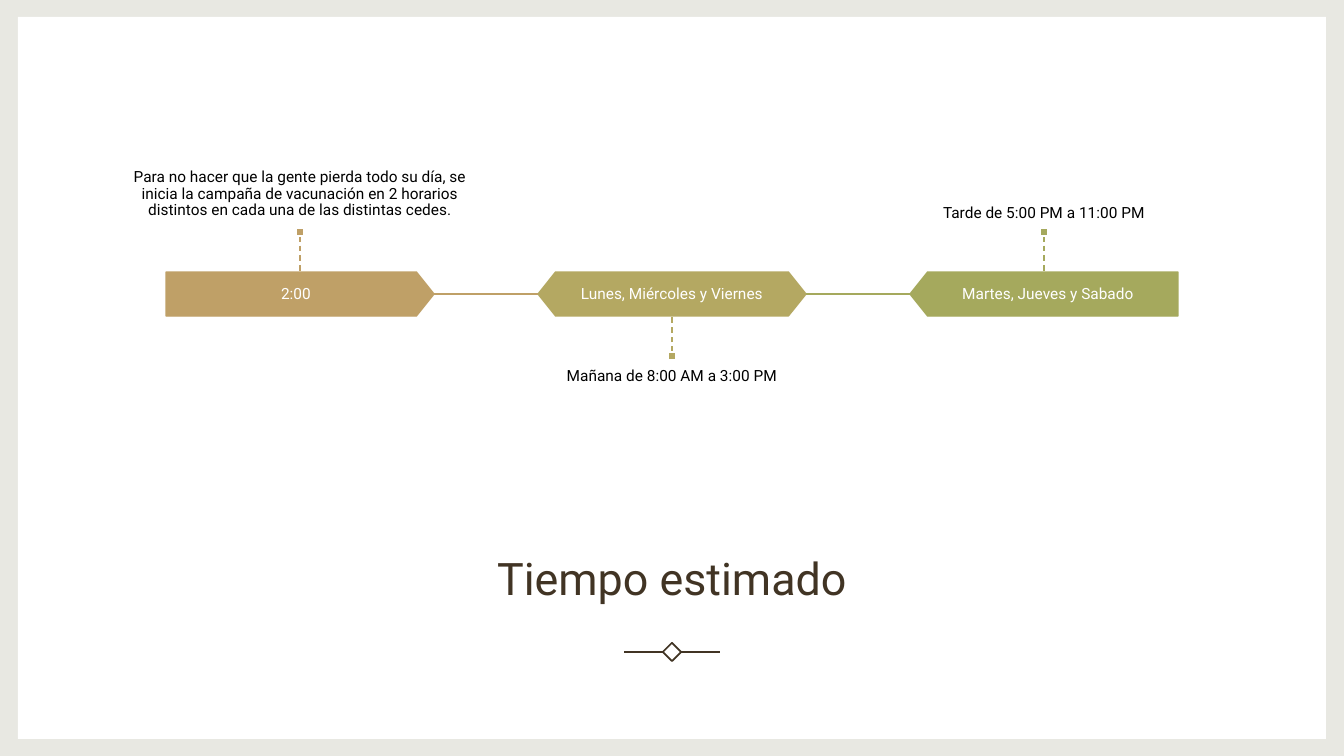
import pptx
import pptx.util
import pptx.dml.color
import pptx.enum.dml
import pptx.enum.shapes
import pptx.enum.text
import pptx.oxml

RGBColor = pptx.dml.color.RGBColor
SHAPE = pptx.enum.shapes.MSO_SHAPE
ANCHOR = pptx.enum.text.MSO_ANCHOR

BORDER = RGBColor(0xE8, 0xE8, 0xE2)
WHITE = RGBColor(0xFF, 0xFF, 0xFF)
BLACK = RGBColor(0, 0, 0)
BROWN = RGBColor(0x41, 0x34, 0x24)
TAN = RGBColor(0xBF, 0xA0, 0x67)
OLIVE = RGBColor(0xB4, 0xA8, 0x62)
GREEN = RGBColor(0xA5, 0xA9, 0x5D)
FONT = "Roboto"

# Content: label, caption, colour, outline, rotation, label offset and width, caption above
TITLE = "Tiempo estimado"
STEPS = [
    ("2:00",
     "Para no hacer que la gente pierda todo su día, se inicia la campaña de "
     "vacunación en 2 horarios distintos en cada una de las distintas cedes.",
     TAN, SHAPE.PENTAGON, 0, -4, 260, True),
    ("Lunes, Miércoles y Viernes", "Mañana de 8:00 AM a 3:00 PM",
     OLIVE, SHAPE.HEXAGON, 0, 0, 212, False),
    ("Martes, Jueves y Sabado", "Tarde de 5:00 PM a 11:00 PM",
     GREEN, SHAPE.PENTAGON, 180, 4, 260, True),
]
CONNECTOR_COLORS = [TAN, GREEN]

# Geometry in px
SLIDE_W, SLIDE_H = 1344, 756
BORDER_W = 18
PITCH = 372
STEP_W, STEP_H, STEP_TOP = 268, 44, 272
STEP_BOTTOM = STEP_TOP + STEP_H
STEP_MIDDLE = STEP_TOP + STEP_H // 2
STEM, MARKER = 36, 8
CAPTION_H, CAPTION_GAP = 116, 42
ORNAMENT_Y, DIAMOND, WING_GAP, WING = 652, 13, 9, 39


def px(length):
    return pptx.util.Emu(round(length * 914400 / 100.8))


def add_text(text, left, top, width, height, size=11, color=BLACK,
             anchor=ANCHOR.MIDDLE, spacing=0.9, inset_x=9, inset_y=9):
    frame = slide.shapes.add_textbox(px(left), px(top), px(width), px(height)).text_frame
    frame.word_wrap = True
    frame.vertical_anchor = anchor
    frame.margin_left = frame.margin_right = px(inset_x)
    frame.margin_top = frame.margin_bottom = px(inset_y)
    paragraph = frame.paragraphs[0]
    paragraph.text = text
    paragraph.alignment = pptx.enum.text.PP_ALIGN.CENTER
    paragraph.line_spacing = spacing
    paragraph.font.name = FONT
    paragraph.font.size = pptx.util.Pt(size)
    paragraph.font.color.rgb = color


def add_box(kind, left, top, width, height, fill=None, line=None, weight=1):
    box = slide.shapes.add_shape(kind, px(left), px(top), px(width), px(height))
    box.shadow.inherit = False
    if fill is None:
        box.fill.background()
    else:
        box.fill.solid()
        box.fill.fore_color.rgb = fill
    if line is None:
        box.line.fill.background()
    else:
        box.line.color.rgb = line
        box.line.width = pptx.util.Pt(weight)
    return box


def add_line(x1, y1, x2, y2, color, weight=1, dashed=False):
    rule = slide.shapes.add_connector(
        pptx.enum.shapes.MSO_CONNECTOR.STRAIGHT, px(x1), px(y1), px(x2), px(y2))
    rule.line.color.rgb = color
    rule.line.width = pptx.util.Pt(weight)
    if dashed:
        rule.line.dash_style = pptx.enum.dml.MSO_LINE.DASH
    rule._element.spPr.append(pptx.oxml.parse_xml(
        '<a:effectLst xmlns:a="http://schemas.openxmlformats.org/drawingml/2006/main"/>'))


deck = pptx.Presentation()
deck.slide_width, deck.slide_height = px(SLIDE_W), px(SLIDE_H)
slide = deck.slides.add_slide(deck.slide_layouts[6])

# Border and white panel
add_box(SHAPE.RECTANGLE, 0, 0, SLIDE_W, SLIDE_H, fill=BORDER)
add_box(SHAPE.RECTANGLE, BORDER_W, BORDER_W - 1,
        SLIDE_W - 2 * BORDER_W, SLIDE_H - 2 * BORDER_W + 2, fill=WHITE)

# Title with its ornament
center = SLIDE_W / 2
add_text(TITLE, 114, 540, 1116, 69, size=32, color=BROWN, anchor=ANCHOR.BOTTOM,
         spacing=1.1, inset_x=10, inset_y=5)
diamond = add_box(SHAPE.RECTANGLE, center - DIAMOND / 2, ORNAMENT_Y - DIAMOND / 2,
                  DIAMOND, DIAMOND, line=BROWN, weight=1.25)
diamond.rotation = 45
for side in (-1, 1):
    add_line(center + side * WING_GAP, ORNAMENT_Y,
             center + side * (WING_GAP + WING), ORNAMENT_Y, BROWN, weight=1.25)

# Timeline steps
step_centers = [center + (i - 1) * PITCH for i in range(len(STEPS))]
for x, (label, caption, color, outline, turn, offset, label_w, above) in zip(step_centers, STEPS):
    step = add_box(outline, x - STEP_W / 2, STEP_TOP, STEP_W, STEP_H, fill=color, line=color)
    step.adjustments[0] = 0.4
    step.rotation = turn
    add_text(label, x + offset - label_w / 2, STEP_TOP, label_w, STEP_H, color=WHITE)

    if above:
        edge, tip = STEP_TOP, STEP_TOP - STEM
        marker_top = tip - MARKER
        caption_top, anchor = STEP_TOP - CAPTION_GAP - CAPTION_H, ANCHOR.BOTTOM
    else:
        edge, tip = STEP_BOTTOM, STEP_BOTTOM + STEM
        marker_top = tip
        caption_top, anchor = STEP_BOTTOM + CAPTION_GAP + 2, ANCHOR.TOP
    add_text(caption, x - PITCH / 2, caption_top, PITCH, CAPTION_H,
             anchor=anchor, inset_x=0, inset_y=11)
    add_line(x, tip, x, edge, color, dashed=True)
    add_box(SHAPE.RECTANGLE, x - MARKER / 2, marker_top, MARKER, MARKER, fill=color, line=WHITE)

# Links between neighbouring steps
for x, following, color in zip(step_centers, step_centers[1:], CONNECTOR_COLORS):
    add_line(x + STEP_W / 2, STEP_MIDDLE, following - STEP_W / 2, STEP_MIDDLE, color)

deck.save("out.pptx")
